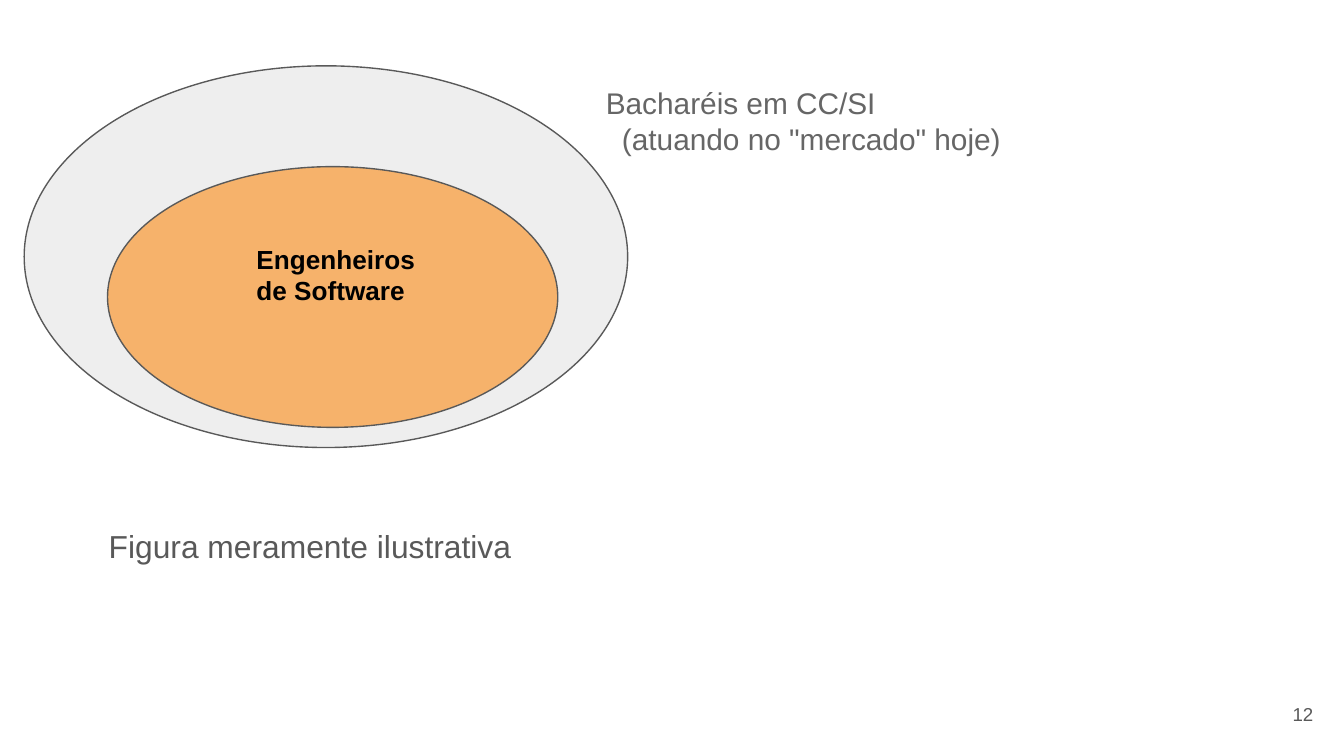
from pptx import Presentation
from pptx.dml.color import RGBColor
from pptx.enum.shapes import MSO_SHAPE
from pptx.enum.text import MSO_ANCHOR, PP_ALIGN
from pptx.util import Inches, Pt

BLACK = RGBColor(0x00, 0x00, 0x00)
DARK_GRAY = RGBColor(0x59, 0x59, 0x59)
MID_GRAY = RGBColor(0x66, 0x66, 0x66)
LIGHT_GRAY = RGBColor(0xEE, 0xEE, 0xEE)
ORANGE = RGBColor(0xF6, 0xB2, 0x6B)

# Widescreen 16:9 slide
prs = Presentation()
prs.slide_width = Inches(10)
prs.slide_height = Inches(10 * 9 / 16)
s = prs.slides.add_slide(prs.slide_layouts[6])


def add_text(box, lines, size, color, bold=False):
    """Add a text box with one paragraph per line and return its frame."""
    tf = s.shapes.add_textbox(*[Inches(v) for v in box]).text_frame
    tf.word_wrap = True
    tf.margin_left = tf.margin_right = Inches(0.1)
    tf.margin_top = tf.margin_bottom = Inches(0.1)
    for i, line in enumerate(lines):
        p = tf.paragraphs[0] if i == 0 else tf.add_paragraph()
        r = p.add_run()
        r.text = line
        r.font.name = "Arial"
        r.font.size = Pt(size)
        r.font.bold = bold
        r.font.color.rgb = color
    return tf


# Nested sets: graduates outside, software engineers inside
for box, fill in [((0.18, 0.49, 4.49, 2.84), LIGHT_GRAY),
                  ((0.8, 1.24, 3.35, 1.94), ORANGE)]:
    sp = s.shapes.add_shape(MSO_SHAPE.OVAL, *[Inches(v) for v in box])
    sp.shadow.inherit = False
    sp.fill.solid()
    sp.fill.fore_color.rgb = fill
    sp.line.color.rgb = DARK_GRAY
    sp.line.width = Pt(0.75)

# Outer set label, second line indented
tf = add_text((4.41, 0.53, 3.37, 0.71),
              ["Bacharéis em CC/SI", '(atuando no "mercado" hoje)'],
              16, MID_GRAY)
tf.paragraphs[1]._p.get_or_add_pPr().set("marL", str(Inches(0.12)))

# Inner set label
add_text((1.81, 1.71, 1.53, 0.71), ["Engenheiros", "de Software"],
         14, BLACK, bold=True)

# Caption
tf = add_text((0.71, 3.78, 3.35, 0.55), ["Figura meramente ilustrativa"],
              17, DARK_GRAY)
tf.paragraphs[0].line_spacing = 1.15

# Slide number
tf = add_text((9.27, 5.1, 0.6, 0.43), ["12"], 10, DARK_GRAY)
tf.vertical_anchor = MSO_ANCHOR.MIDDLE
tf.paragraphs[0].alignment = PP_ALIGN.RIGHT

prs.save("out.pptx")
